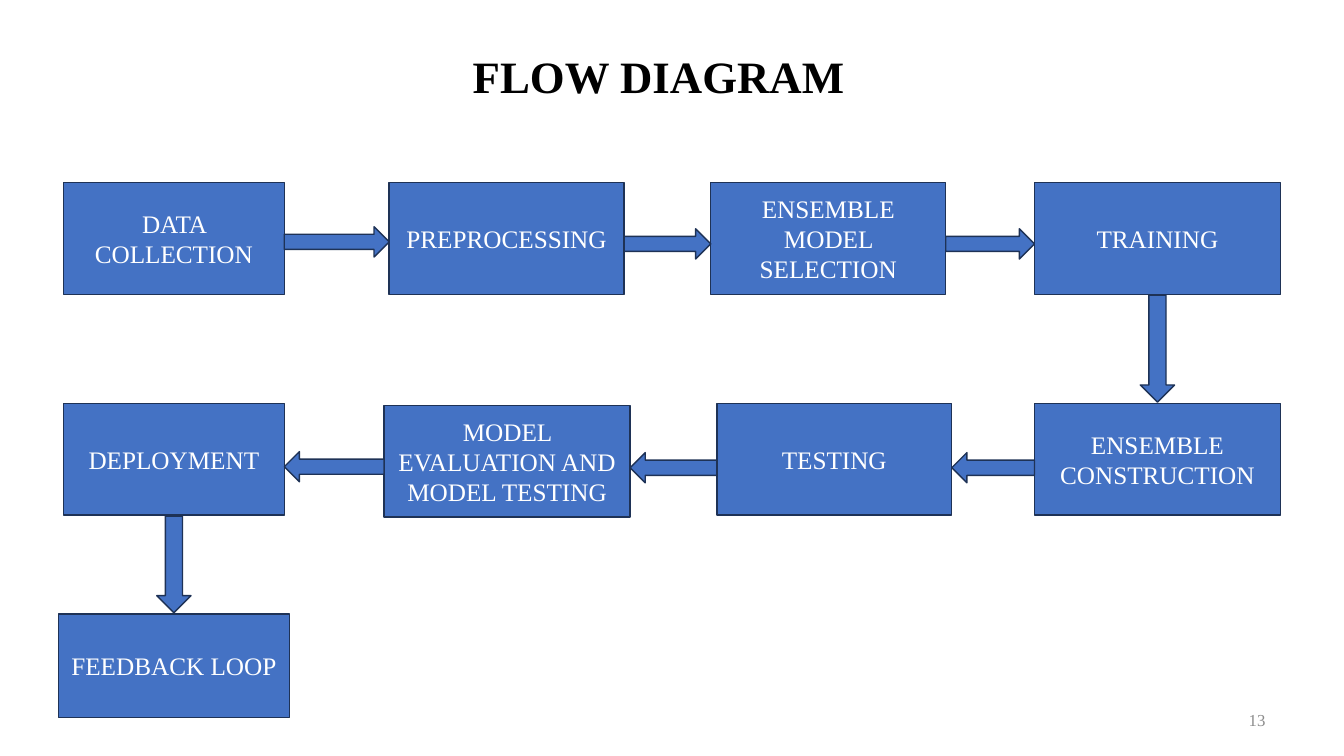
from dataclasses import dataclass

import pptx
import pptx.dml.color
import pptx.enum.shapes
import pptx.enum.text
import pptx.util

SHAPES = pptx.enum.shapes.MSO_SHAPE
ALIGN = pptx.enum.text.PP_ALIGN
ANCHOR = pptx.enum.text.MSO_ANCHOR


@dataclass(frozen=True)
class Theme:
    font: str = "Times New Roman"
    fill: str = "4472C4"
    outline: str = "1E3256"
    title_color: str = "000000"
    step_color: str = "FFFFFF"
    number_color: str = "8C8C8C"
    title_size: int = 32
    step_size: int = 18
    number_size: int = 12
    outline_width: int = 1
    cell: float = 0.1


class FlowPage:
    def __init__(self, page, theme):
        self.page = page
        self.theme = theme

    def cells(self, *counts):
        return [pptx.util.Inches(count * self.theme.cell) for count in counts]

    def color(self, name):
        return pptx.dml.color.RGBColor.from_string(name)

    def add_text(self, box, text, size, color, align, anchor, bold=False):
        frame = box.text_frame
        frame.word_wrap = True
        frame.vertical_anchor = anchor
        para = frame.paragraphs[0]
        para.alignment = align
        span = para.add_run()
        span.text = text
        span.font.name = self.theme.font
        span.font.size = pptx.util.Pt(size)
        span.font.bold = bold
        span.font.color.rgb = self.color(color)

    def label(self, area, text, size, color, align, anchor, bold=False):
        box = self.page.shapes.add_textbox(*self.cells(*area))
        self.add_text(box, text, size, color, align, anchor, bold)

    def block(self, kind, area):
        shape = self.page.shapes.add_shape(kind, *self.cells(*area))
        shape.shadow.inherit = False
        shape.fill.solid()
        shape.fill.fore_color.rgb = self.color(self.theme.fill)
        shape.line.color.rgb = self.color(self.theme.outline)
        shape.line.width = pptx.util.Pt(self.theme.outline_width)
        return shape

    def step(self, text, area):
        box = self.block(SHAPES.RECTANGLE, area)
        self.add_text(box, text, self.theme.step_size, self.theme.step_color,
                      ALIGN.CENTER, ANCHOR.MIDDLE)

    def across(self, start, end, middle, thickness=3):
        left, right = sorted((start, end), key=lambda area: area[0])
        edge = left[0] + left[2]
        arrow = self.block(SHAPES.RIGHT_ARROW,
                           (edge, middle - thickness / 2, right[0] - edge, thickness))
        arrow.rotation = 0 if start is left else 180

    def down(self, start, end, clearance, thickness=3.4):
        edge = start[1] + start[3] + clearance
        center = start[0] + start[2] / 2
        self.block(SHAPES.DOWN_ARROW,
                   (center - thickness / 2, edge, thickness, end[1] - clearance - edge))


TOP_ROW, MIDDLE_ROW, BOTTOM_ROW = 18.1, 40, 60.9
STEP_HEIGHT = 11.1
STEPS = {
    "DATA COLLECTION": (6.3, TOP_ROW, 21.9, STEP_HEIGHT),
    "PREPROCESSING": (38.6, TOP_ROW, 23.3, STEP_HEIGHT),
    "ENSEMBLE MODEL SELECTION": (70.5, TOP_ROW, 23.3, STEP_HEIGHT),
    "TRAINING": (102.6, TOP_ROW, 24.4, STEP_HEIGHT),
    "ENSEMBLE CONSTRUCTION": (102.6, MIDDLE_ROW, 24.4, STEP_HEIGHT),
    "TESTING": (71.1, MIDDLE_ROW, 23.3, STEP_HEIGHT),
    "MODEL EVALUATION AND MODEL TESTING": (38.1, MIDDLE_ROW + 0.2, 24.4, STEP_HEIGHT),
    "DEPLOYMENT": (6.3, MIDDLE_ROW, 21.9, STEP_HEIGHT),
    "FEEDBACK LOOP": (5.8, BOTTOM_ROW, 22.9, 10.3),
}
ARROW_MIDDLES = (24, 24.2, 24.2, None, 46.4, 46.4, 46.3, None)


def main():
    theme = Theme()
    deck = pptx.Presentation()
    deck.slide_width = pptx.util.Inches(13.33)
    deck.slide_height = pptx.util.Inches(7.5)
    flow = FlowPage(deck.slides.add_slide(deck.slide_layouts[6]), theme)

    flow.label((45.9, 4.3, 42.5, 6.4), "FLOW DIAGRAM", theme.title_size,
               theme.title_color, ALIGN.LEFT, ANCHOR.TOP, bold=True)
    for text, area in STEPS.items():
        flow.step(text, area)

    areas = list(STEPS.values())
    for start, end, middle in zip(areas, areas[1:], ARROW_MIDDLES):
        if middle is None:
            flow.down(start, end, clearance=0.1)
        else:
            flow.across(start, end, middle)

    flow.label((96.5, 69.4, 30, 4), "13", theme.number_size,
               theme.number_color, ALIGN.RIGHT, ANCHOR.MIDDLE)
    deck.save("out.pptx")


if __name__ == "__main__":
    main()
